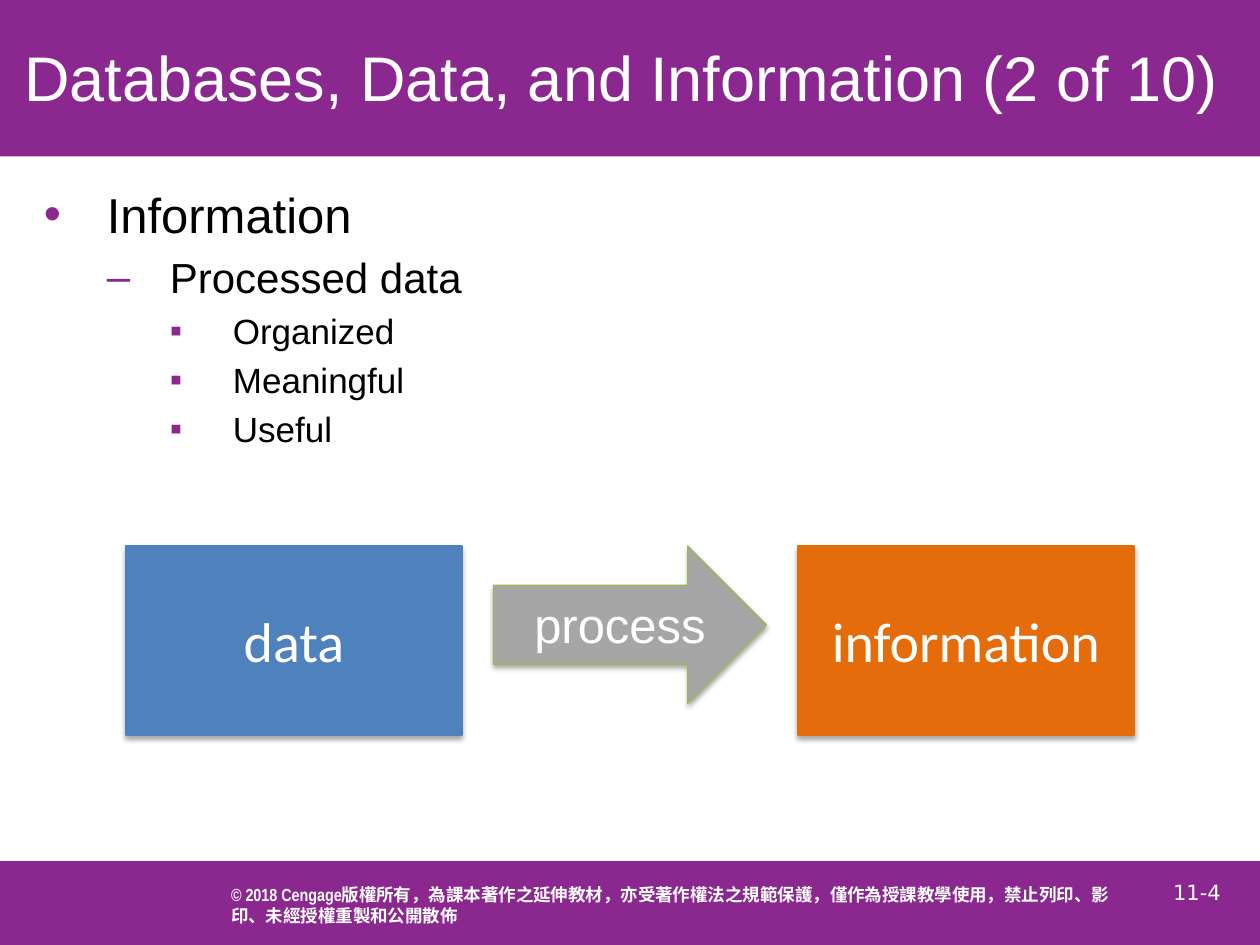
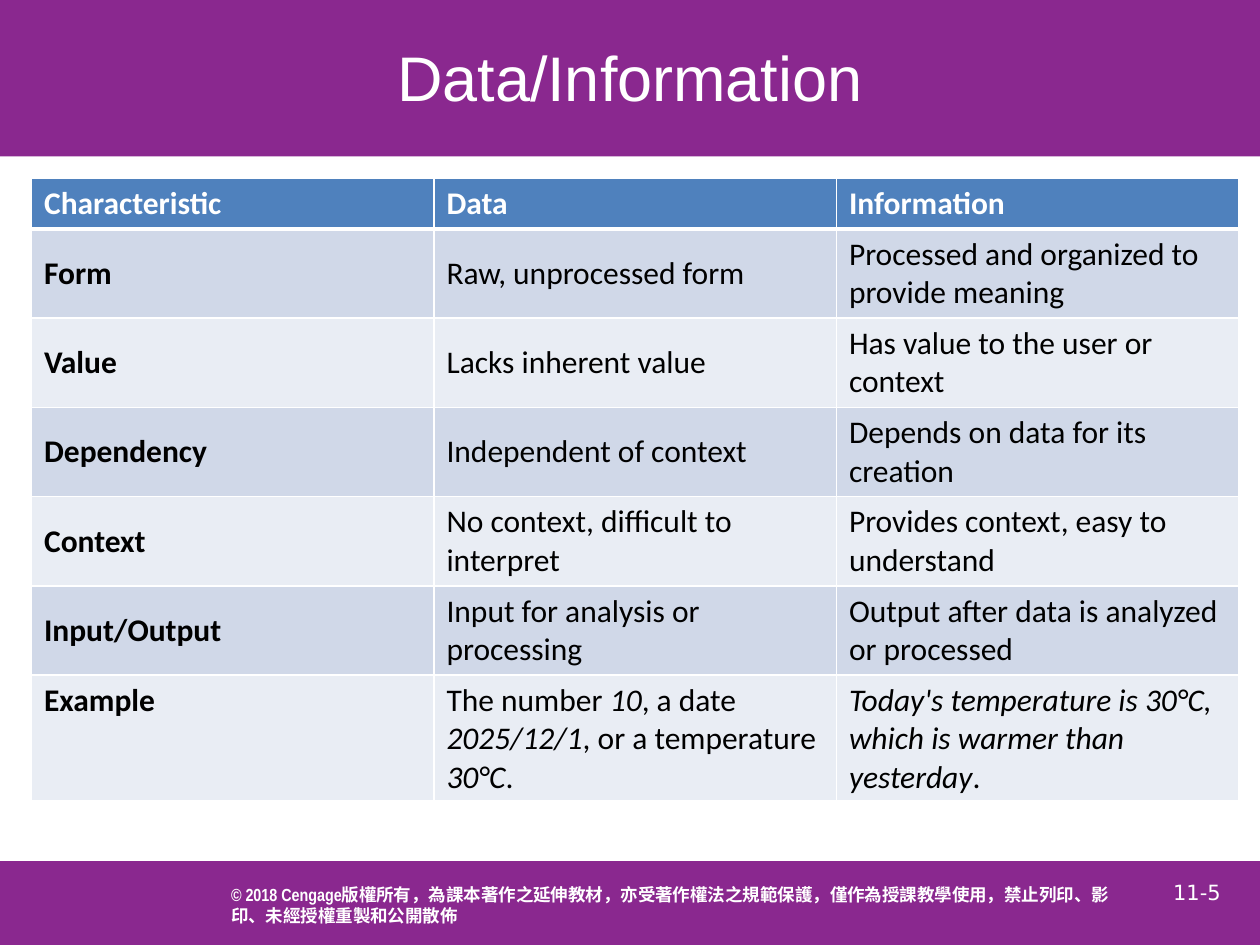
import lxml.etree
import pptx
import pptx.dml.color
import pptx.enum.shapes
import pptx.enum.text
import pptx.oxml.ns
import pptx.util

RGBColor = pptx.dml.color.RGBColor
Shapes = pptx.enum.shapes.MSO_SHAPE
Align = pptx.enum.text.PP_ALIGN
Anchor = pptx.enum.text.MSO_ANCHOR

PURPLE = RGBColor(0x8A, 0x28, 0x8F)
BLUE = RGBColor(0x4F, 0x81, 0xBD)
ORANGE = RGBColor(0xE4, 0x6C, 0x0A)
GRAY = RGBColor(0xA6, 0xA6, 0xA6)
GREEN = RGBColor(0x98, 0xB8, 0x55)
BAND_DARK = RGBColor(0xD0, 0xD8, 0xE8)
BAND_LIGHT = RGBColor(0xE9, 0xED, 0xF4)
WHITE = RGBColor(0xFF, 0xFF, 0xFF)
BLACK = RGBColor(0, 0, 0)

# The slide is a grid of 120 columns and 90 rows of square units
COLUMNS, ROWS = 120, 90
WIDTH, HEIGHT = pptx.util.Inches(10), pptx.util.Inches(7.5)
FOOTER_ROW = 82

TITLE = {"name": "Arial", "size": 36, "color": WHITE}
BODY = {"name": "Arial", "color": BLACK}
BOX = {"name": "Calibri", "size": 32, "color": WHITE}
ARROW = {"name": "Arial", "size": 28, "color": WHITE}
NUMBER = {"name": "DejaVu Sans", "size": 12, "color": WHITE}
NOTICE = {"name": "Arial Narrow", "size": 10, "color": WHITE, "bold": True}
CELL = {"name": "Calibri", "size": 18, "color": BLACK, "bold": False}
CELL_LABEL = {**CELL, "bold": True}
CELL_HEADER = {**CELL_LABEL, "color": WHITE}
CELL_ITALIC = {**CELL, "italic": True}

# Bullet, text size and space before for each outline level
LEVELS = [("•", 28, 5.6), ("–", 24, 4.8), ("▪", 20, 4)]

COPYRIGHT = [
    ("© 2018 Cengage", NOTICE),
    ("版權所有，為課本著作之延伸教材，亦受著作權法之規範保護，"
     "僅作為授課教學使用，禁止列印、影印、未經授權重製和公開散佈",
     {**NOTICE, "name": "Calibri"}),
]


def add_xml(parent, tag, **attributes):
    return lxml.etree.SubElement(
        parent, pptx.oxml.ns.qn(tag),
        {key: str(value) for key, value in attributes.items()})


class Deck:
    def __init__(self):
        self.presentation = pptx.Presentation()
        self.presentation.slide_width = WIDTH
        self.presentation.slide_height = HEIGHT
        self.slide = None

    def place(self, column, row, columns, rows):
        return (int(WIDTH * column / COLUMNS), int(HEIGHT * row / ROWS),
                int(WIDTH * columns / COLUMNS), int(HEIGHT * rows / ROWS))

    def new_slide(self, title, number):
        self.slide = self.presentation.slides.add_slide(
            self.presentation.slide_layouts[6])
        # Bands, page number and copyright line
        self.shape((0, 0, COLUMNS, 14.9), PURPLE)
        self.shape((0, FOOTER_ROW, COLUMNS, ROWS - FOOTER_ROW), PURPLE)
        self.text((108, FOOTER_ROW, 12, 6), [(number, NUMBER)],
                  Align.CENTER, Anchor.MIDDLE)
        notice = self.shape((22, 82.7, 84.6, 7), PURPLE)
        self.fill_frame(notice.text_frame, COPYRIGHT, Align.LEFT, Anchor.MIDDLE)
        for side in ("left", "top", "right", "bottom"):
            setattr(notice.text_frame, f"margin_{side}", 0)
        # Title
        heading = self.shape((0.6, 0.4, 118.8, 13.7), PURPLE)
        self.fill_frame(heading.text_frame, [(title, TITLE)],
                        Align.CENTER, Anchor.MIDDLE)

    def add_runs(self, paragraph, runs):
        for text, style in runs:
            run = paragraph.add_run()
            run.text = text
            for key, value in style.items():
                if key == "color":
                    run.font.color.rgb = value
                elif key == "size":
                    run.font.size = pptx.util.Pt(value)
                else:
                    setattr(run.font, key, value)

    def fill_frame(self, frame, runs, align, anchor):
        frame.word_wrap = True
        frame.vertical_anchor = anchor
        paragraph = frame.paragraphs[0]
        paragraph.alignment = align
        self.add_runs(paragraph, runs)

    def shape(self, place, fill, line=None, kind=Shapes.RECTANGLE):
        shape = self.slide.shapes.add_shape(kind, *self.place(*place))
        shape.shadow.inherit = False
        shape.fill.solid()
        shape.fill.fore_color.rgb = fill
        if line is None:
            shape.line.fill.background()
        else:
            shape.line.color.rgb = line
            shape.line.width = pptx.util.Pt(0.75)
        return shape

    def raised(self, place, fill, line, kind=Shapes.RECTANGLE):
        shape = self.shape(place, fill, line, kind)
        effects = shape.element.spPr.find(pptx.oxml.ns.qn("a:effectLst"))
        shadow = add_xml(effects, "a:outerShdw", blurRad=pptx.util.Pt(3.1),
                         dist=pptx.util.Pt(1.8), dir=90 * 60000, rotWithShape=0)
        color = add_xml(shadow, "a:srgbClr", val=BLACK)
        add_xml(color, "a:alpha", val=35000)
        return shape

    def labelled_box(self, place, fill, label):
        box = self.raised(place, fill, fill)
        self.fill_frame(box.text_frame, [(label, BOX)],
                        Align.CENTER, Anchor.MIDDLE)

    def text(self, place, runs, align=Align.LEFT, anchor=Anchor.TOP):
        box = self.slide.shapes.add_textbox(*self.place(*place))
        self.fill_frame(box.text_frame, runs, align, anchor)

    def outline(self, place, items):
        frame = self.slide.shapes.add_textbox(*self.place(*place)).text_frame
        frame.word_wrap = True
        for index, (level, text) in enumerate(items):
            bullet, size, space = LEVELS[level]
            paragraph = frame.add_paragraph() if index else frame.paragraphs[0]
            paragraph.level = level
            properties = paragraph._p.get_or_add_pPr()
            indent = pptx.util.Inches(0.5)
            properties.set("marL", str(indent * (level + 1)))
            properties.set("indent", str(-indent))
            add_xml(add_xml(properties, "a:buClr"), "a:srgbClr", val=PURPLE)
            add_xml(properties, "a:buFont", typeface="Arial")
            add_xml(properties, "a:buChar", char=bullet)
            if index:
                paragraph.space_before = pptx.util.Pt(space)
            self.add_runs(paragraph, [(text, {**BODY, "size": size})])

    def cell_borders(self, cell, top, bottom):
        properties = cell._tc.get_or_add_tcPr()
        widths = {"a:lnL": 0.96, "a:lnR": 0.96, "a:lnT": top, "a:lnB": bottom}
        for index, (tag, width) in enumerate(widths.items()):
            line = add_xml(properties, tag, w=pptx.util.Pt(width))
            add_xml(add_xml(line, "a:solidFill"), "a:srgbClr", val=WHITE)
            properties.insert(index, line)

    def table(self, place, rows, heights):
        table = self.slide.shapes.add_table(
            len(rows), len(rows[0]), *self.place(*place)).table
        for row, height in zip(table.rows, heights):
            row.height = int(HEIGHT * height / ROWS)
        for row_index, row in enumerate(rows):
            fill = BAND_DARK if row_index % 2 else BAND_LIGHT
            for column_index, content in enumerate(row):
                style = CELL if column_index else CELL_LABEL
                if row_index == 0:
                    fill, style = BLUE, CELL_HEADER
                runs = [(content, style)] if isinstance(content, str) else content
                last = row_index == len(rows) - 1
                cell = table.cell(row_index, column_index)
                cell.fill.solid()
                cell.fill.fore_color.rgb = fill
                cell.vertical_anchor = Anchor.TOP if last else Anchor.MIDDLE
                self.add_runs(cell.text_frame.paragraphs[0], runs)
                self.cell_borders(cell, 3 if row_index == 1 else 0.96,
                                  3 if row_index == 0 else 0.96)


def information_slide(deck):
    deck.new_slide("Databases, Data, and Information (2 of 10) ", "11-4")
    deck.outline((3, 17, 49, 29), [
        (0, "Information"),
        (1, "Processed data"),
        (2, "Organized"),
        (2, "Meaningful"),
        (2, "Useful"),
    ])
    # Data becomes information through a process
    flow_row = 52
    deck.labelled_box((12, flow_row, 32, 18), BLUE, "data")
    deck.labelled_box((76, flow_row, 32, 18), ORANGE, "information")
    deck.raised((47, flow_row, 26, 15), GRAY, GREEN, Shapes.RIGHT_ARROW)
    deck.text((49.7, flow_row + 4, 20.5, 6.9), [("process", ARROW)])


def comparison_slide(deck):
    deck.new_slide("Data/Information", "11-5")
    example_data = [
        ("The number ", CELL), ("10", CELL_ITALIC),
        (", a date ", CELL), ("2025/12/1", CELL_ITALIC),
        (", or a temperature ", CELL), ("30°C", CELL_ITALIC), (".", CELL),
    ]
    example_information = [
        ("Today's temperature is 30°C, which is warmer than yesterday",
         CELL_ITALIC),
        (".", CELL),
    ]
    rows = [
        ("Characteristic", "Data", "Information"),
        ("Form", "Raw, unprocessed form",
         "Processed and organized to provide meaning"),
        ("Value", "Lacks inherent value", "Has value to the user or context"),
        ("Dependency", "Independent of context",
         "Depends on data for its creation"),
        ("Context", "No context, difficult to interpret",
         "Provides context, easy to understand"),
        ("Input/Output", "Input for analysis or processing",
         "Output after data is analyzed or processed"),
        ("Example", example_data, example_information),
    ]
    heights = [4.8] + [8.5] * 5 + [12]
    deck.table((3, 17, 115, sum(heights)), rows, heights)


def main():
    deck = Deck()
    information_slide(deck)
    comparison_slide(deck)
    deck.presentation.save("out.pptx")


if __name__ == "__main__":
    main()
